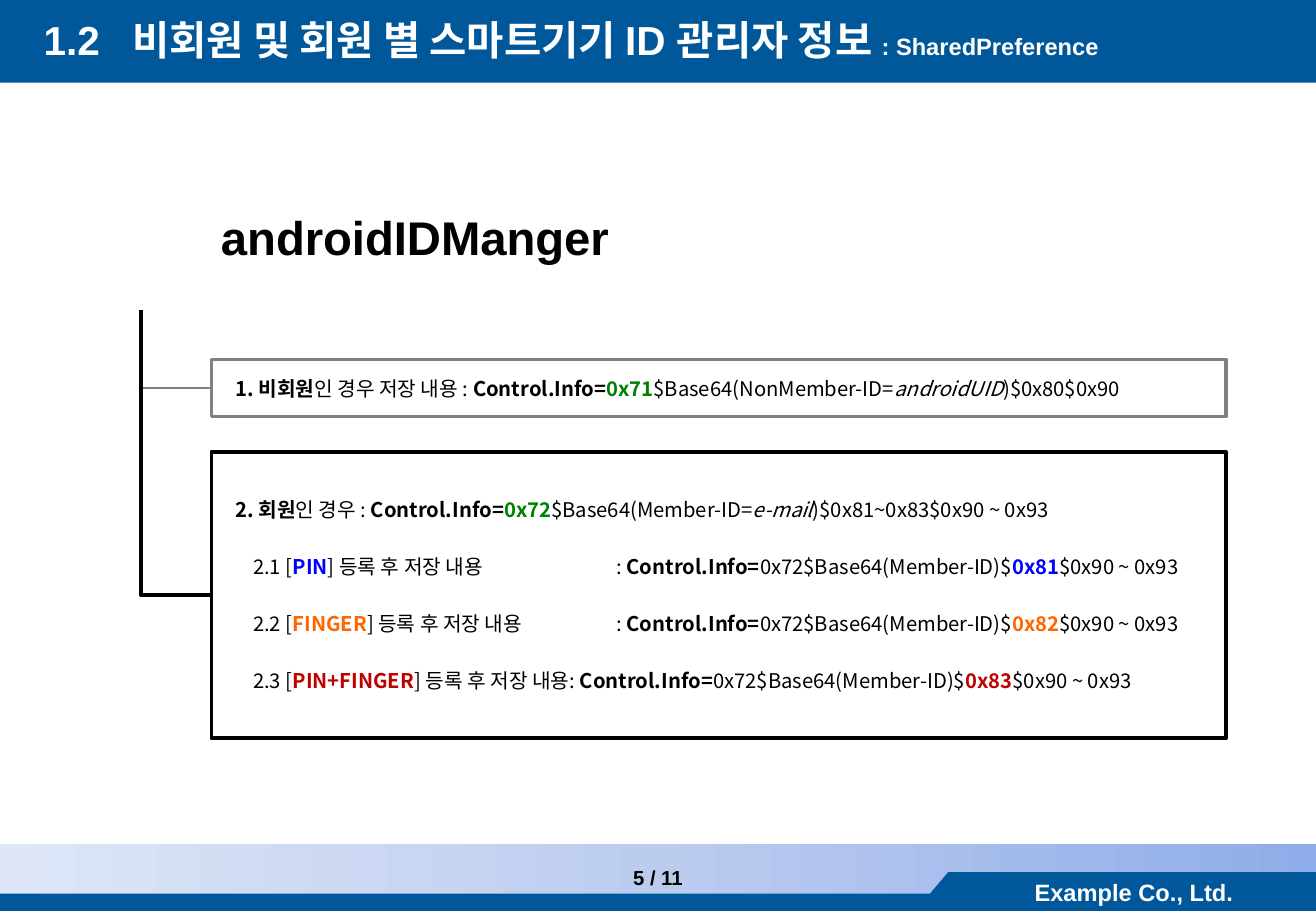
from copy import deepcopy

from lxml import etree
from pptx import Presentation
from pptx import util as u
from pptx.dml.color import RGBColor
from pptx.enum import shapes, text
from pptx.oxml import ns

Cm, Pt = u.Cm, u.Pt
WHITE = RGBColor(0xFF, 0xFF, 0xFF)
BLACK = RGBColor(0, 0, 0)
GRAY = RGBColor(0x80, 0x80, 0x80)
NAVY = RGBColor(0x00, 0x58, 0x9A)
GREEN = RGBColor(0x00, 0x80, 0x00)
BLUE = RGBColor(0x00, 0x00, 0xFF)
ORANGE = RGBColor(0xFF, 0x66, 0x00)
RED = RGBColor(0xC0, 0x00, 0x00)
FOOTER_STOPS = [(0, RGBColor(0x8F, 0xAD, 0xE9)), (0.5, RGBColor(0xBC, 0xCC, 0xEF)),
                (1, RGBColor(0xDE, 0xE6, 0xF7))]
ARIAL, NOTO = "Arial", "Noto Sans CJK KR"
BOLD, ITALIC = {"bold": True}, {"italic": True}

TITLE = [[("1.2\t비회원 및 회원 별 스마트기기 ID 관리자 정보 ", {}),
          (": SharedPreference", {"size": 14})]]
HEADING = [[("androidIDManger", {})]]
COMPANY = [[("Example Co., Ltd.", {})]]
PAGE = [[("5 / 11", {})]]


def member_line(label, case, code, member, value, codes):
    return [(label, BOLD), (case, {}), ("Control.Info=", BOLD),
            (code, {"bold": True, "color": GREEN}), (f"$Base64({member}=", {}),
            (value, ITALIC), (f"){codes}", {})]


def step_line(number, method, gap, code, color):
    marked = {"bold": True, "color": color}
    return [(f"{number} [", {}), (method, marked), (f"] 등록 후 저장 내용{gap}: ", {}),
            ("Control.Info=", BOLD), ("0x72$Base64(Member-ID)$", {}),
            (code, marked), ("$0x90 ~ 0x93", {})]


NON_MEMBER = [member_line("1. 비회원", "인 경우 저장 내용 : ", "0x71",
                          "NonMember-ID", "androidUID", "$0x80$0x90")]
MEMBER = [
    member_line("2. 회원", "인 경우 : ", "0x72", "Member-ID", "e-mail",
                "$0x81~0x83$0x90 ~ 0x93"),
    step_line("2.1", "PIN", "\t", "0x81", BLUE),
    step_line("2.2", "FINGER", "\t", "0x82", ORANGE),
    step_line("2.3", "PIN+FINGER", "", "0x83", RED),
]

BOX_LEFT, BOX_WIDTH, TRUNK_X, TRUNK_TOP = 4.42, 21.21, 2.95, 6.48
BOXES = [(NON_MEMBER, 7.52, 1.19, GRAY, 1.5), (MEMBER, 9.45, 5.99, BLACK, 2.25)]

prs = Presentation()
prs.slide_width, prs.slide_height = Cm(27.51), Cm(19.05)
slide = prs.slides.add_slide(prs.slide_layouts[5])


def write(target, paragraphs, font=ARIAL, size=12, bold=False, color=BLACK,
          align=text.PP_ALIGN.LEFT, anchor=text.MSO_ANCHOR.MIDDLE, wrap=True,
          inset=0.25, gap=0, indent=0, tab=None):
    frame = target.text_frame
    frame.word_wrap, frame.vertical_anchor = wrap, anchor
    frame.auto_size = text.MSO_AUTO_SIZE.NONE
    frame.margin_left, frame.margin_right = Cm(inset), Cm(0.25)
    frame.margin_top = frame.margin_bottom = Cm(0.13)
    for index, runs in enumerate(paragraphs):
        paragraph = frame.add_paragraph() if index else frame.paragraphs[0]
        properties = paragraph._p.get_or_add_pPr()
        if tab:
            stops = etree.SubElement(properties, ns.qn("a:tabLst"))
            etree.SubElement(stops, ns.qn("a:tab"), pos=str(Cm(tab)), algn="l")
        paragraph.alignment = align
        if index:
            properties.set("marL", str(Cm(indent)))
            paragraph.space_before = Pt(gap)
        for words, style in runs:
            run = paragraph.add_run()
            run.text = words
            run.font.name = font
            run.font.size = Pt(style.get("size", size))
            run.font.bold = style.get("bold", bold)
            run.font.italic = style.get("italic", False)
            run.font.color.rgb = style.get("color", color)
            east_asian = etree.SubElement(run.font._element, ns.qn("a:ea"))
            east_asian.set("typeface", NOTO)


def band(left, top, width, height, fill=None):
    rectangle = slide.shapes.add_shape(shapes.MSO_SHAPE.RECTANGLE, Cm(left), Cm(top),
                                       Cm(width), Cm(height))
    rectangle.shadow.inherit = False
    rectangle.line.fill.background()
    if fill is None:
        rectangle.fill.background()
    else:
        rectangle.fill.solid()
        rectangle.fill.fore_color.rgb = fill
    return rectangle


def label(left, top, width, height, paragraphs, **style):
    box = slide.shapes.add_textbox(Cm(left), Cm(top), Cm(width), Cm(height))
    write(box, paragraphs, **style)


def branch(target_y, color, weight):
    run, drop = BOX_LEFT - TRUNK_X, target_y - TRUNK_TOP
    middle_x, middle_y = TRUNK_X + run / 2, TRUNK_TOP + drop / 2
    elbow = slide.shapes.add_connector(
        shapes.MSO_CONNECTOR.ELBOW, Cm(middle_x + drop / 2), Cm(middle_y - run / 2),
        Cm(middle_x - drop / 2), Cm(middle_y + run / 2))
    elbow.line.color.rgb, elbow.line.width = color, Pt(weight)
    properties = elbow._element.spPr
    properties.find(ns.qn("a:xfrm")).set("rot", "16200000")
    properties.find(ns.qn("a:prstGeom")).set("prst", "bentConnector2")
    etree.SubElement(properties, ns.qn("a:effectLst"))


footer = band(0, 17.65, 27.51, 1.4, WHITE)
footer.fill.gradient()
footer.fill.gradient_angle = 180
first_stop = footer._element.spPr.find(".//" + ns.qn("a:gs"))
first_stop.addnext(deepcopy(first_stop))
for stop, (position, color) in zip(footer.fill.gradient_stops, FOOTER_STOPS):
    stop.position, stop.color.rgb = position, color

band(-0.03, 0, 27.54, 1.73, NAVY)
band(-0.03, 18.69, 27.56, 0.4, NAVY)
builder = slide.shapes.build_freeform(Cm(19.22), Cm(18.95))
builder.add_line_segments([(Cm(19.82), Cm(18.95)), (Cm(19.82), Cm(18.24))], close=True)
slope = builder.convert_to_shape()
slope.shadow.inherit = False
slope.fill.solid()
slope.fill.fore_color.rgb = NAVY
slope.line.fill.background()
write(band(19.82, 18.24, 7.77, 0.83, NAVY), COMPANY, size=14, bold=True, color=WHITE,
      align=text.PP_ALIGN.CENTER)

title = slide.shapes.title
title.left, title.top, title.width, title.height = Cm(0.66), Cm(0.13), Cm(26.8), Cm(1.4)
write(title, TITLE, size=24, bold=True, color=WHITE, tab=1.85)
slide.shapes.element.append(title.element)

label(4.37, 4.22, 8.71, 1.45, HEADING, size=28, bold=True, wrap=False,
      anchor=text.MSO_ANCHOR.TOP)
for paragraphs, top, height, color, weight in BOXES:
    box = band(BOX_LEFT, top, BOX_WIDTH, height)
    box.line.color.rgb, box.line.width = color, Pt(2.25)
    write(box, paragraphs, font=NOTO, inset=0.5, gap=19.4, indent=0.37, tab=7.6)
    branch(top + height / 2, color, weight)
label(0, 17.96, 27.51, 0.84, PAGE, bold=True, align=text.PP_ALIGN.CENTER,
      anchor=text.MSO_ANCHOR.TOP)

prs.save("out.pptx")
